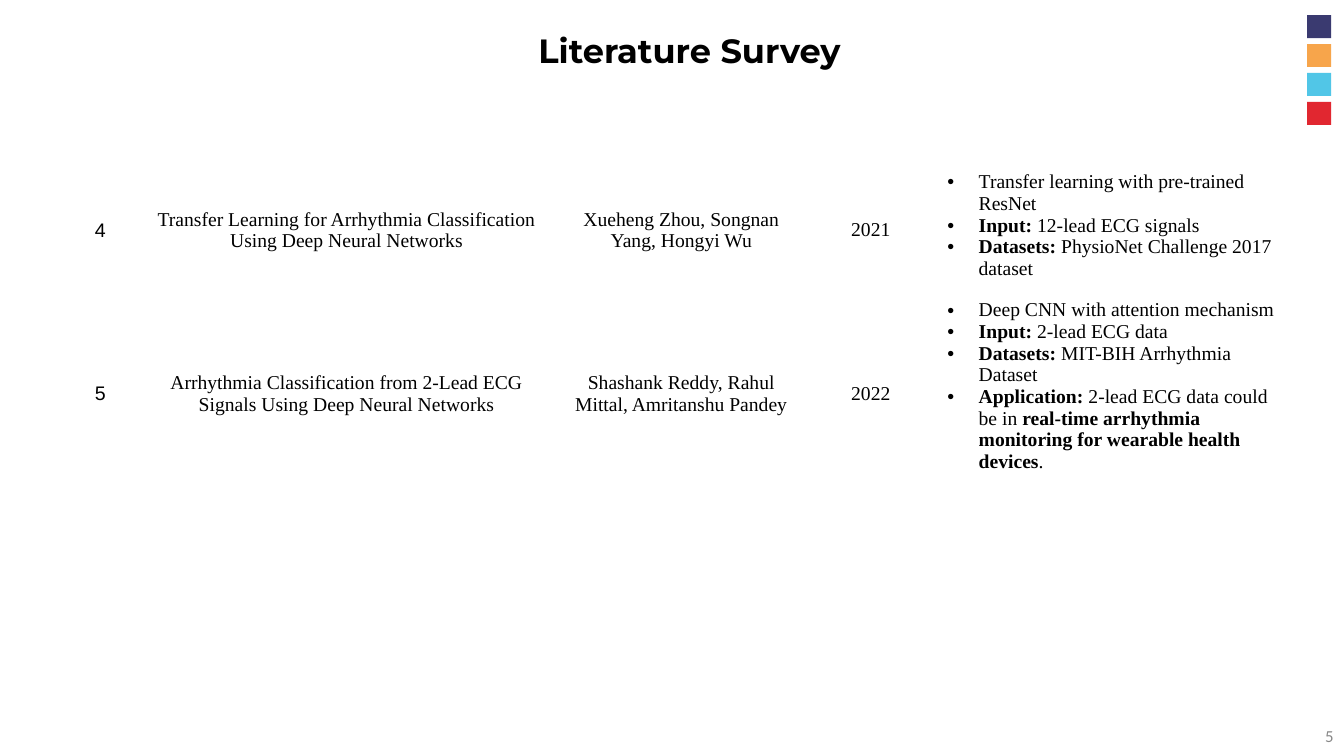
from lxml import etree
from pptx import Presentation
from pptx import util as u
from pptx.dml.color import RGBColor
from pptx.enum import shapes, text
from pptx.oxml import ns

HUES = {"navy": "3A3A70", "gold": "F7A54B", "sky": "51C6E7", "red": "E12730",
        "ink": "000000", "gray": "888888"}
TITLE = "Literature Survey"
PAGE = "5"
ROWS = [
    ("4", "Transfer Learning for Arrhythmia Classification Using Deep Neural Networks",
     "Xueheng Zhou, Songnan Yang, Hongyi Wu", "2021",
     [[("Transfer learning with pre-trained ResNet", False)],
      [("Input:", True), (" 12-lead ECG signals", False)],
      [("Datasets:", True), (" PhysioNet Challenge 2017 dataset", False)]]),
    ("5", "Arrhythmia Classification from 2-Lead ECG Signals Using Deep Neural Networks",
     "Shashank Reddy, Rahul Mittal, Amritanshu Pandey", "2022",
     [[("Deep CNN with attention mechanism", False)],
      [("Input:", True), (" 2-lead ECG data", False)],
      [("Datasets:", True), (" MIT-BIH Arrhythmia Dataset", False)],
      [("Application: ", True), ("2-lead ECG data could be in ", False),
       ("real-time arrhythmia monitoring for wearable health devices", True),
       (".", False)]]),
]
WIDTHS = [1.75, 10.67, 6.2, 3.35, 9.07]
HEIGHTS = [3.23, 4.98]
INDENT = u.Cm(0.79)

HEAD = {"name": "Montserrat", "size": u.Pt(24), "bold": True}
FOOT = {"name": "Calibri", "size": u.Pt(12), "bold": False}
BODY = {"name": "Times New Roman", "size": u.Pt(14), "bold": False}
INDEX = {**BODY, "name": "Arial"}
MID = text.PP_ALIGN.CENTER


def write(para, words, look, hue="ink"):
    run = para.add_run()
    run.text = words
    for key, value in look.items():
        setattr(run.font, key, value)
    run.font.color.rgb = RGBColor.from_string(HUES[hue])


def label(slide, box, words, look, align, anchor, hue="ink"):
    frame = slide.shapes.add_textbox(*map(u.Cm, box)).text_frame
    frame.word_wrap = True
    frame.vertical_anchor = anchor
    para = frame.paragraphs[0]
    para.alignment = align
    write(para, words, look, hue)


def bullet(para):
    props = para._p.get_or_add_pPr()
    props.set("marL", str(INDENT))
    props.set("indent", str(-INDENT))
    tint = etree.SubElement(props, ns.qn("a:buClr"))
    etree.SubElement(tint, ns.qn("a:srgbClr"), val=HUES["ink"])
    etree.SubElement(props, ns.qn("a:buFont"), typeface="Arial")
    etree.SubElement(props, ns.qn("a:buChar"), char="•")


def fill(cell, item, look):
    cell.fill.background()
    frame = cell.text_frame
    if isinstance(item, str):
        cell.vertical_anchor = text.MSO_ANCHOR.MIDDLE
        frame.paragraphs[0].alignment = MID
        write(frame.paragraphs[0], item, look)
        return
    for n, line in enumerate(item):
        para = frame.add_paragraph() if n else frame.paragraphs[0]
        bullet(para)
        for words, bold in line:
            write(para, words, {**look, "bold": bold})


def survey(slide):
    grid = slide.shapes.add_table(
        len(ROWS), len(WIDTHS), u.Cm(1.65), u.Cm(4.19),
        u.Cm(sum(WIDTHS)), u.Cm(sum(HEIGHTS))).table
    grid.first_row = grid.horz_banding = False
    for col, width in zip(grid.columns, WIDTHS):
        col.width = u.Cm(width)
    for r, (row, height) in enumerate(zip(ROWS, HEIGHTS)):
        grid.rows[r].height = u.Cm(height)
        for c, item in enumerate(row):
            fill(grid.cell(r, c), item, BODY if c else INDEX)


def main():
    deck = Presentation()
    deck.slide_width, deck.slide_height = u.Cm(33.87), u.Cm(19.05)
    slide = deck.slides.add_slide(deck.slide_layouts[6])
    for n, hue in enumerate(("navy", "gold", "sky", "red")):
        tile = slide.shapes.add_shape(
            shapes.MSO_SHAPE.RECTANGLE, u.Cm(32.94), u.Cm(0.38 + 0.73 * n),
            u.Cm(0.61), u.Cm(0.58))
        tile.shadow.inherit = False
        tile.fill.solid()
        tile.fill.fore_color.rgb = RGBColor.from_string(HUES[hue])
        tile.line.fill.background()
    label(slide, (26.24, 18.03, 7.62, 1.02), PAGE, FOOT,
          text.PP_ALIGN.RIGHT, text.MSO_ANCHOR.MIDDLE, "gray")
    label(slide, (2.77, 0.64, 29.21, 1.37), TITLE, HEAD, MID, text.MSO_ANCHOR.TOP)
    survey(slide)
    deck.save("out.pptx")


if __name__ == "__main__":
    main()
